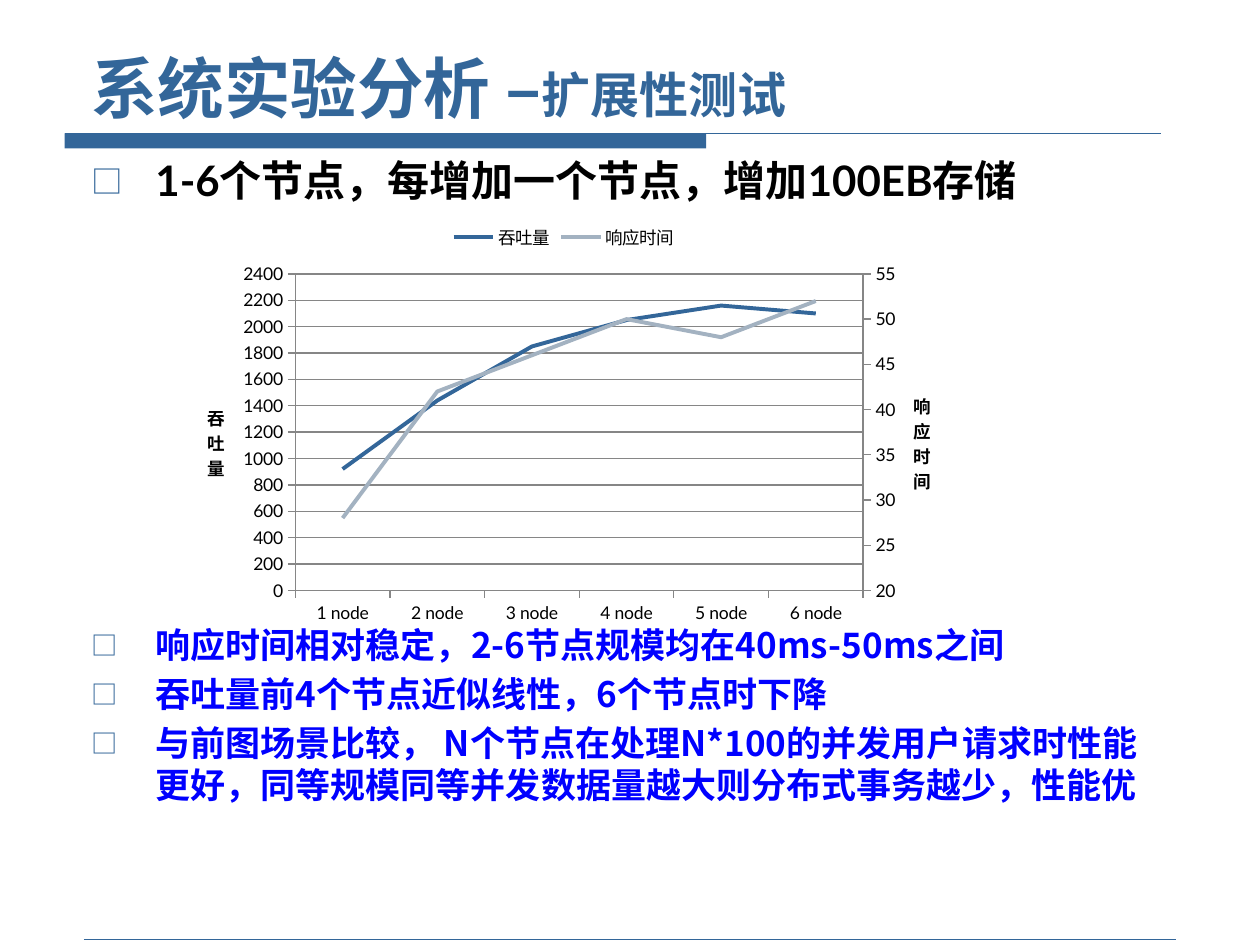
from copy import deepcopy
from lxml import etree
from pptx import Presentation
from pptx.chart import data
from pptx.dml.color import RGBColor
from pptx.enum import chart as ch, shapes, text
from pptx.oxml import parse_xml
from pptx.oxml.ns import nsdecls, qn
from pptx.util import Pt

COLORS = {"blue": "336699", "pale": "A3B2C1", "black": "000000",
          "link": "0000FF", "axis": "868686"}
LATIN, CJK = "Lato", "Noto Sans CJK SC"


def rgb(name):
    return RGBColor.from_string(COLORS[name])


class Deck:
    """Holds the style and the current slide, with one method per kind of element."""

    def __init__(self, width, height):
        self.prs = Presentation()
        self.prs.slide_width, self.prs.slide_height = Pt(width), Pt(height)
        self.slide = self.prs.slides.add_slide(self.prs.slide_layouts[6])

    def bar(self, x, y, w, h, color):
        band = self.slide.shapes.add_shape(shapes.MSO_SHAPE.RECTANGLE, Pt(x), Pt(y), Pt(w), Pt(h))
        band.shadow.inherit = False
        band.fill.solid()
        band.fill.fore_color.rgb = rgb(color)
        band.line.fill.background()

    def rule(self, x1, x2, y, weight, color):
        rule = self.slide.shapes.add_connector(
            shapes.MSO_CONNECTOR.STRAIGHT, Pt(x1), Pt(y), Pt(x2), Pt(y))
        rule.line.color.rgb = rgb(color)
        rule.line.width = Pt(weight)
        etree.SubElement(rule._element.spPr, qn("a:effectLst"))

    def font(self, run, size, color, latin):
        run.font.size, run.font.bold, run.font.name = Pt(size), True, latin
        run.font.color.rgb = rgb(color)
        etree.SubElement(run._r.get_or_add_rPr(), qn("a:ea"), typeface=CJK)

    def frame(self, x, y, w, h, anchor):
        frame = self.slide.shapes.add_textbox(Pt(x), Pt(y), Pt(w), Pt(h)).text_frame
        frame.word_wrap, frame.vertical_anchor = True, anchor
        return frame

    def title(self, x, y, w, h, parts):
        heading = self.frame(x, y, w, h, text.MSO_ANCHOR.BOTTOM).paragraphs[0]
        for words, size in parts:
            run = heading.add_run()
            run.text = words
            self.font(run, size, "blue", LATIN)

    def bullets(self, x, y, w, h, points, size, color, latin, indent=36.7):
        frame = self.frame(x, y, w, h, text.MSO_ANCHOR.TOP)
        frame.text = "\n".join(points)
        for point in frame.paragraphs:
            point.space_before, point.line_spacing = Pt(size * 0.2), Pt(size * 1.2)
            props = point._p.get_or_add_pPr()
            props.set("marL", str(Pt(indent)))
            props.set("indent", str(-Pt(indent)))
            for tag in (f'<a:buClr {nsdecls("a")}><a:srgbClr val="{COLORS["blue"]}"/></a:buClr>',
                        f'<a:buSzPct {nsdecls("a")} val="75000"/>',
                        f'<a:buFont {nsdecls("a")} typeface="{CJK}"/>',
                        f'<a:buChar {nsdecls("a")} char="□"/>'):
                props.append(parse_xml(tag))
            self.font(point.runs[0], size, color, latin)

    def style_axis(self, axis):
        axis.format.line.color.rgb = rgb("axis")
        axis.major_tick_mark = ch.XL_TICK_MARK.OUTSIDE
        axis.minor_tick_mark = ch.XL_TICK_MARK.NONE

    def line_chart(self, x, y, w, h, cats, series, layout, right_min):
        table = data.CategoryChartData()
        table.categories = cats
        for name, values, _ in series:
            table.add_series(name, values)
        chart = self.slide.shapes.add_chart(
            ch.XL_CHART_TYPE.LINE, Pt(x), Pt(y), Pt(w), Pt(h), table).chart
        chart.has_title = False
        chart.font.size, chart.font.name = Pt(10), LATIN
        chart.font.color.rgb = rgb("black")
        chart.has_legend = True
        chart.legend.position = ch.XL_LEGEND_POSITION.TOP
        chart.legend.include_in_layout = False
        chart.plots[0].vary_by_categories = False
        for line, (_, _, color) in zip(chart.plots[0].series, series):
            line.smooth = False
            line.format.line.color.rgb = rgb(color)
            line.format.line.width = Pt(2.25)

        left = chart.value_axis
        for axis in (chart.category_axis, left):
            self.style_axis(axis)
        left.minimum_scale, left.major_unit = 0, 200
        left.major_gridlines.format.line.color.rgb = rgb("axis")
        caption = left.axis_title.text_frame
        caption.text = series[0][0]
        self.font(caption.paragraphs[0].runs[0], 10, "black", LATIN)
        for body in chart.element.xpath(".//c:valAx/c:title//a:bodyPr"):
            body.set("rot", "0")
            body.set("vert", "wordArtVert")
        self.second_axis(chart, series[1][0], right_min)
        self.place_plot(chart, layout)

    def second_axis(self, chart, caption, minimum):
        plot = chart.element.xpath(".//c:lineChart")[0]
        axes = chart.element.xpath(".//c:catAx | .//c:valAx")
        right_plot = deepcopy(plot)
        plot.remove(plot.findall(qn("c:ser"))[1])
        right_plot.remove(right_plot.findall(qn("c:ser"))[0])
        plot.addnext(right_plot)
        cat_axis, val_axis = right_axes = [deepcopy(axis) for axis in axes]
        axes[-1].addnext(val_axis)
        val_axis.addnext(cat_axis)
        ids = ["5001", "5002"]
        for ref, number in zip(right_plot.findall(qn("c:axId")), ids):
            ref.set("val", number)
        for axis, own, other in zip(right_axes, ids, reversed(ids)):
            axis.find(qn("c:axId")).set("val", own)
            axis.find(qn("c:crossAx")).set("val", other)
        cat_axis.find(qn("c:delete")).set("val", "1")
        val_axis.find(qn("c:axPos")).set("val", "r")
        val_axis.find(qn("c:crosses")).set("val", "max")
        val_axis.find(qn("c:scaling")).find(qn("c:min")).set("val", str(minimum))
        for tag in ("c:majorGridlines", "c:majorUnit"):
            val_axis.remove(val_axis.find(qn(tag)))
        val_axis.xpath("c:title//a:t")[0].text = caption

    def place_plot(self, chart, layout):
        area = chart.element.xpath(".//c:plotArea")[0]
        for old in area.findall(qn("c:layout")):
            area.remove(old)
        edges = "".join(f'<c:{key} val="{value}"/>' for key, value in zip("xywh", layout))
        area.insert(0, parse_xml(
            f'<c:layout {nsdecls("c")}><c:manualLayout><c:layoutTarget val="inner"/>'
            f'<c:xMode val="edge"/><c:yMode val="edge"/>{edges}</c:manualLayout></c:layout>'))


def main():
    deck = Deck(720, 540)
    deck.bar(37, 76.3, 366.5, 8.5, "blue")
    deck.rule(37, 663.5, 76.3, 0.75, "blue")
    deck.rule(48, 672, 536.8, 0.25, "blue")
    deck.title(45, 23.8, 630, 52.5, [("系统实验分析 –", 38), ("扩展性测试", 28)])
    deck.bullets(45, 85, 630, 36, ["1-6个节点，每增加一个节点，增加100EB存储"],
                 24, "black", LATIN)
    deck.line_chart(
        103, 120.4, 438.5, 241.2, [f"{n} node" for n in range(1, 7)],
        [("吞吐量", (920, 1440, 1850, 2050, 2160, 2100), "blue"),
         ("响应时间", (28, 42, 46, 50, 48, 52), "pale")],
        layout=(0.15, 0.15, 0.74, 0.75), right_min=20)
    deck.bullets(45, 352.7, 630, 140,
                 ["响应时间相对稳定，2-6节点规模均在40ms-50ms之间",
                  "吞吐量前4个节点近似线性，6个节点时下降",
                  "与前图场景比较， N个节点在处理N*100的并发用户请求时性能更好，"
                  "同等规模同等并发数据量越大则分布式事务越少，性能优"],
                 20, "link", CJK)
    deck.prs.save("out.pptx")


if __name__ == "__main__":
    main()
